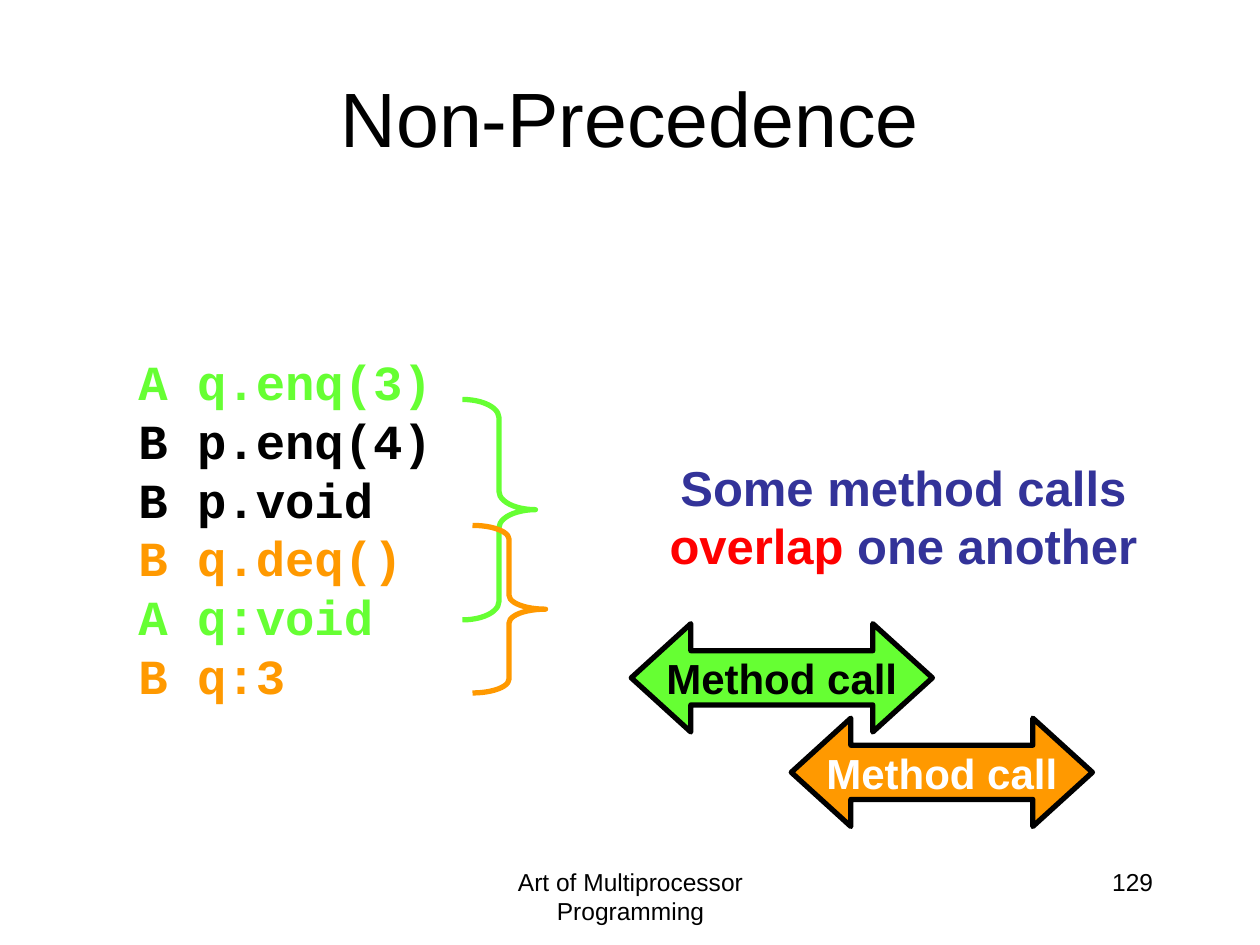
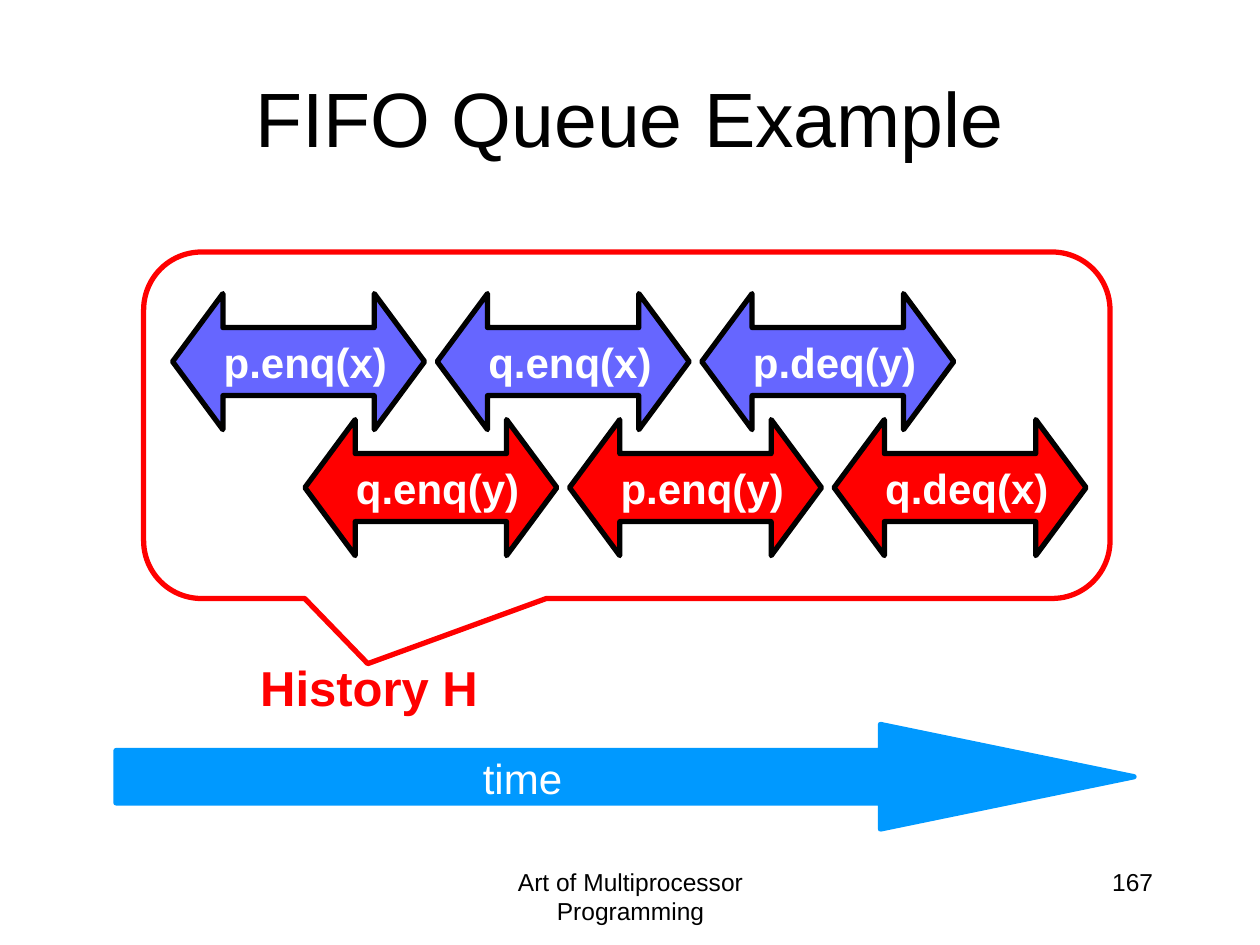
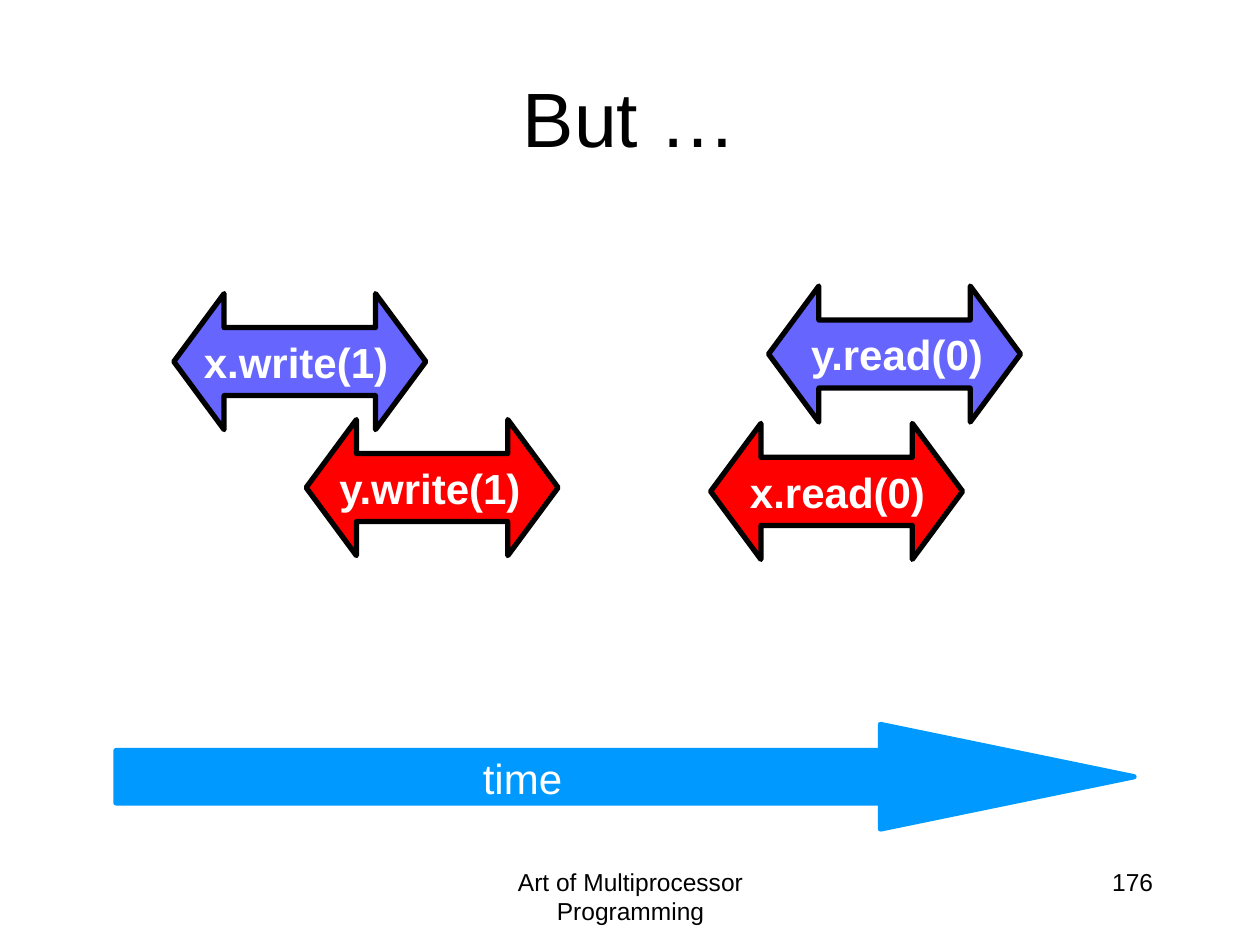
from pptx import Presentation
from pptx.dml.color import RGBColor
from pptx.enum.shapes import MSO_SHAPE as SHAPE
from pptx.enum.text import MSO_ANCHOR as ANCHOR, PP_ALIGN as ALIGN
from pptx.util import Inches, Pt

BLACK = RGBColor(0x00, 0x00, 0x00)
WHITE = RGBColor(0xFF, 0xFF, 0xFF)
GREEN = RGBColor(0x66, 0xFF, 0x33)
ORANGE = RGBColor(0xFF, 0x99, 0x00)
RED = RGBColor(0xFF, 0x00, 0x00)
INDIGO = RGBColor(0x33, 0x33, 0x99)
VIOLET = RGBColor(0x66, 0x66, 0xFF)
SKY = RGBColor(0x00, 0x99, 0xFF)

SANS, MONO = "Arial", "Courier New"
FOOTER = "Art of Multiprocessor Programming"
LEADING = 1.2
CALL_W, CALL_H = 2, 1.08


def style(p, size, color, bold=False, align=ALIGN.LEFT, font=SANS):
    p.alignment = align
    p.line_spacing = Pt(size * LEADING)
    p.font.name = font
    p.font.size = Pt(size)
    p.font.bold = bold
    if color is not None:
        p.font.color.rgb = color


def add_text(shapes, box, text, size, color, wrap=True, **look):
    """Add a text box holding one paragraph."""
    sp = shapes.add_textbox(*map(Inches, box))
    tf = sp.text_frame
    tf.word_wrap = wrap
    p = tf.paragraphs[0]
    p.text = text
    style(p, size, color, **look)
    return sp


def add_preset(shapes, kind, box, adjust, line, fill=None):
    sp = shapes.add_shape(kind, *map(Inches, box))
    for i, value in enumerate(adjust):
        sp.adjustments[i] = value
    sp.shadow.inherit = False
    if fill is None:
        sp.fill.background()
    else:
        sp.fill.solid()
        sp.fill.fore_color.rgb = fill
    sp.line.color.rgb = line
    sp.line.width = Pt(3)
    return sp


def add_call(slide, box, text, fill, color=WHITE, head=0.37, align=ALIGN.RIGHT):
    """Add a double arrow that stands for the duration of a method call."""
    sp = add_preset(slide.shapes, SHAPE.LEFT_RIGHT_ARROW, box, (0.5, head),
                    BLACK, fill)
    tf = sp.text_frame
    tf.word_wrap = False
    tf.vertical_anchor = ANCHOR.MIDDLE
    p = tf.paragraphs[0]
    p.text = text
    style(p, 24, color, bold=True, align=align)


def add_time_arrow(slide):
    group = slide.shapes.add_group_shape()
    add_preset(group.shapes, SHAPE.RIGHT_ARROW, (0.92, 5.75, 8.08, 0.83),
               (0.5, 2.425), SKY, SKY)
    add_text(group.shapes, (3.72, 5.92, 0.84, 0.5), "time", 24, WHITE,
             wrap=False, align=ALIGN.RIGHT)


def add_code(slide, box, lines):
    sp = slide.shapes.add_textbox(*map(Inches, box))
    tf = sp.text_frame
    tf.word_wrap = True
    tf.margin_top = Inches(0.12)
    for i, (text, color) in enumerate(lines):
        p = tf.add_paragraph() if i else tf.paragraphs[0]
        p.text = text
        style(p, 28, color, bold=True, font=MONO)


def new_slide(prs, title, number):
    """Add a slide with its title, footer and number."""
    slide = prs.slides.add_slide(prs.slide_layouts[5])
    sp = slide.shapes.title
    sp.left, sp.top, sp.width, sp.height = map(Inches, (0.5, 0.3, 9, 1.25))
    sp.text_frame.vertical_anchor = ANCHOR.MIDDLE
    p = sp.text_frame.paragraphs[0]
    p.text = title
    style(p, 44, BLACK, align=ALIGN.CENTER)
    add_text(slide.shapes, (3.42, 6.83, 3.17, 0.5), FOOTER, 14, BLACK,
             align=ALIGN.CENTER)
    add_text(slide.shapes, (7.17, 6.83, 2.08, 0.5), str(number), 14, BLACK,
             align=ALIGN.RIGHT)
    return slide


def non_precedence(prs):
    slide = new_slide(prs, "Non-Precedence", 129)
    add_code(slide, (1, 2.67, 3.05, 2.9), [
        ("A q.enq(3)", GREEN), ("B p.enq(4)", BLACK), ("B p.void", BLACK),
        ("B q.deq()", ORANGE), ("A q:void", GREEN), ("B q:3", ORANGE)])

    # Braces joining each invocation to its response
    for box, bend, color in [((3.67, 3.17, 0.58, 1.75), 0.25, GREEN),
                             ((3.75, 4.17, 0.58, 1.33), 0.19, ORANGE)]:
        add_preset(slide.shapes, SHAPE.RIGHT_BRACE, box, (bend, 0.5), color)

    # Statement with one highlighted word
    sp = add_text(slide.shapes, (5.17, 3.58, 4, 1.03), "", 28, None,
                  bold=True, align=ALIGN.CENTER)
    for text, color in [("Some method calls ", INDIGO), ("overlap", RED),
                        (" one another", INDIGO)]:
        r = sp.text_frame.paragraphs[0].add_run()
        r.text = text
        r.font.color.rgb = color

    # Overlapping calls
    for left, top, fill, color in [(5.01, 4.95, GREEN, BLACK),
                                   (6.28, 5.7, ORANGE, WHITE)]:
        add_call(slide, (left, top, 2.39, 0.86), "Method call", fill, color,
                 head=0.55, align=ALIGN.CENTER)


def fifo_queue(prs):
    slide = new_slide(prs, "FIFO Queue Example", 167)
    # One row of calls per thread
    rows = [(1.37, 2.33, VIOLET, ("p.enq(x)", "q.enq(x)", "p.deq(y)")),
            (2.42, 3.33, RED, ("q.enq(y)", "p.enq(y)", "q.deq(x)"))]
    for left, top, fill, calls in rows:
        for i, call in enumerate(calls):
            add_call(slide, (left + 2.1 * i, top, CALL_W, CALL_H), call, fill)

    # Callout naming the history
    add_preset(slide.shapes, SHAPE.ROUNDED_RECTANGULAR_CALLOUT,
               (1.14, 2, 7.67, 2.75), (-0.268, 0.688, 0.167), RED)
    add_text(slide.shapes, (1.94, 5.17, 1.95, 0.57), "History H", 28, RED,
             wrap=False, bold=True, align=ALIGN.RIGHT)
    add_time_arrow(slide)


def but(prs):
    slide = new_slide(prs, "But …", 176)
    for left, top, call, fill in [(1.38, 2.33, "x.write(1)", VIOLET),
                                  (6.1, 2.27, "y.read(0)", VIOLET),
                                  (2.43, 3.33, "y.write(1)", RED),
                                  (5.64, 3.36, "x.read(0)", RED)]:
        add_call(slide, (left, top, CALL_W, CALL_H), call, fill)
    add_time_arrow(slide)


def main():
    prs = Presentation()
    prs.slide_width, prs.slide_height = Inches(10), Inches(7.5)
    non_precedence(prs)
    fifo_queue(prs)
    but(prs)
    prs.save("out.pptx")


if __name__ == "__main__":
    main()
